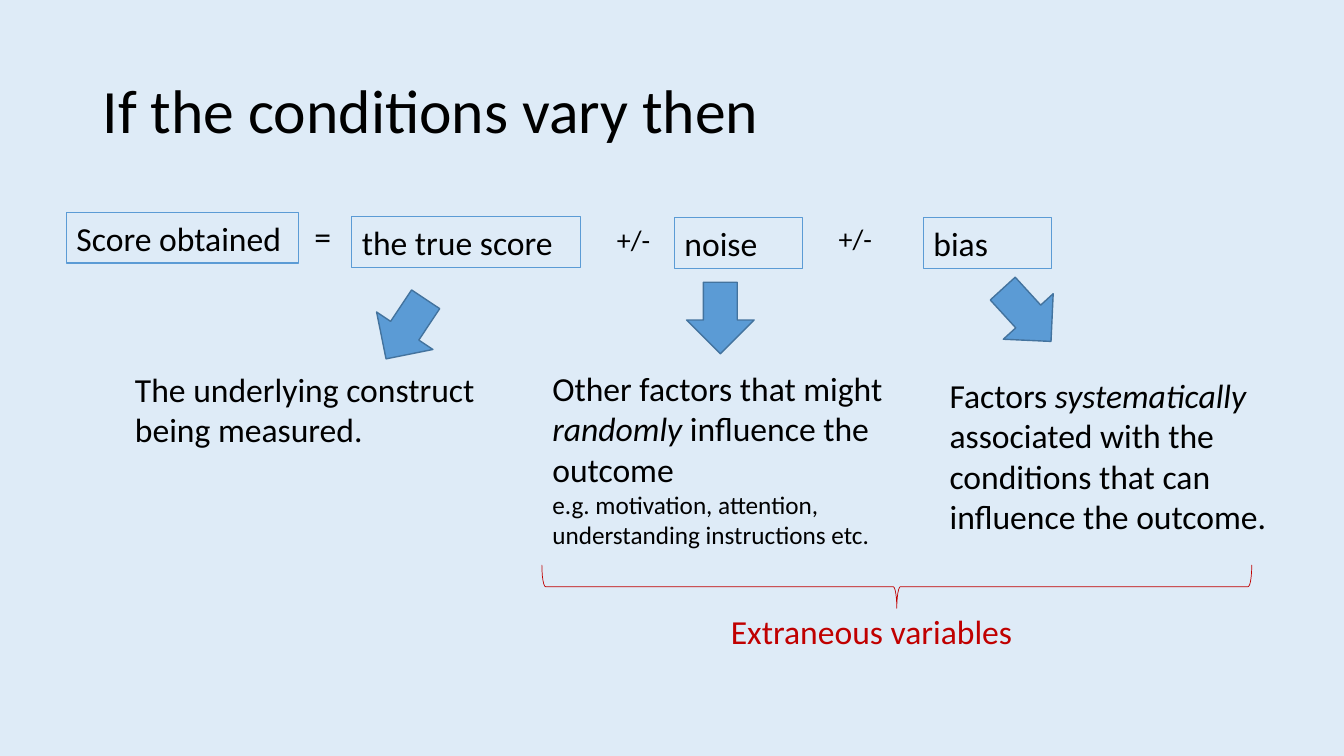
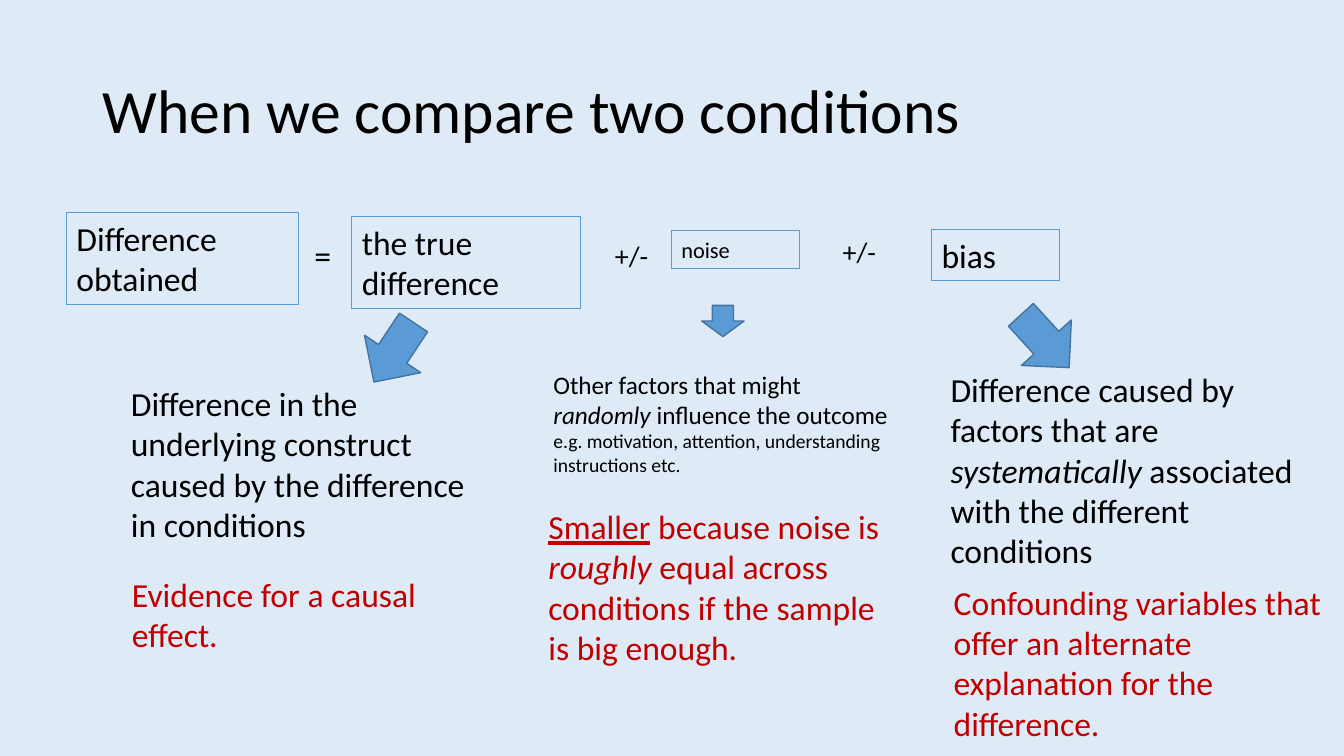
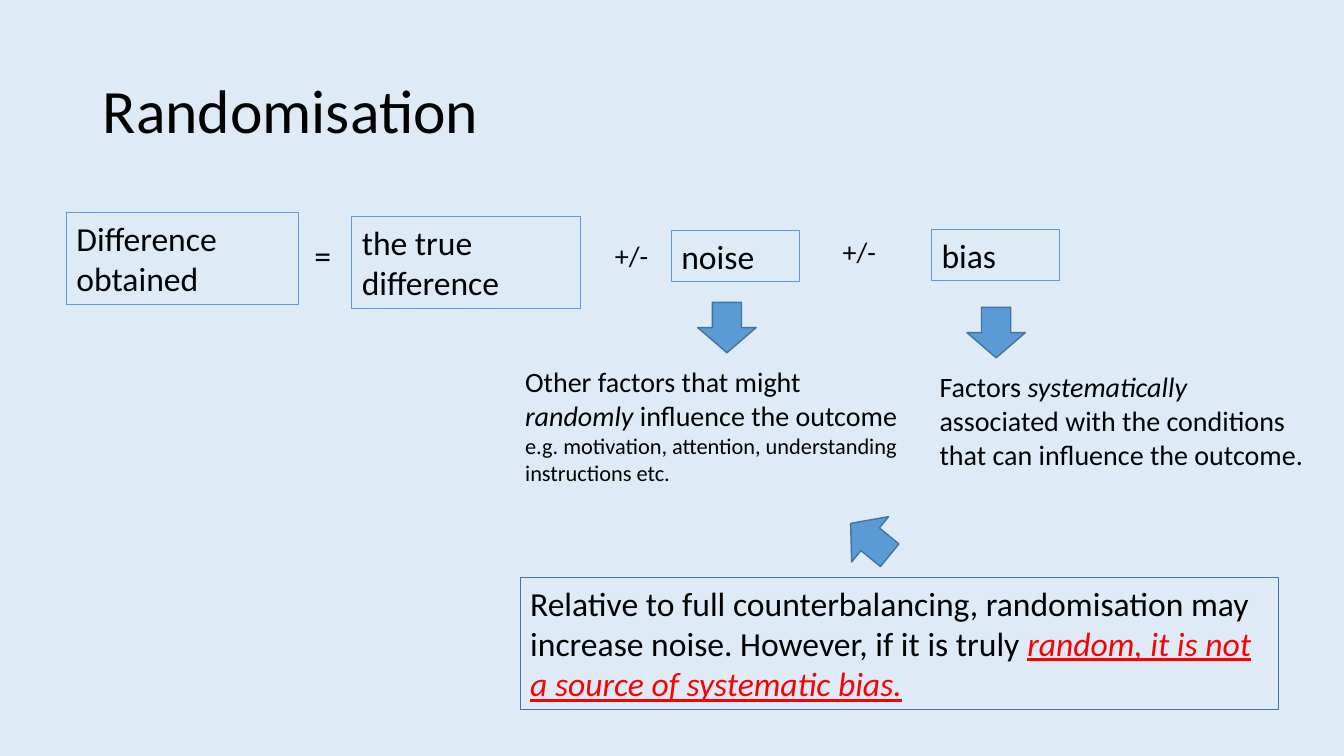
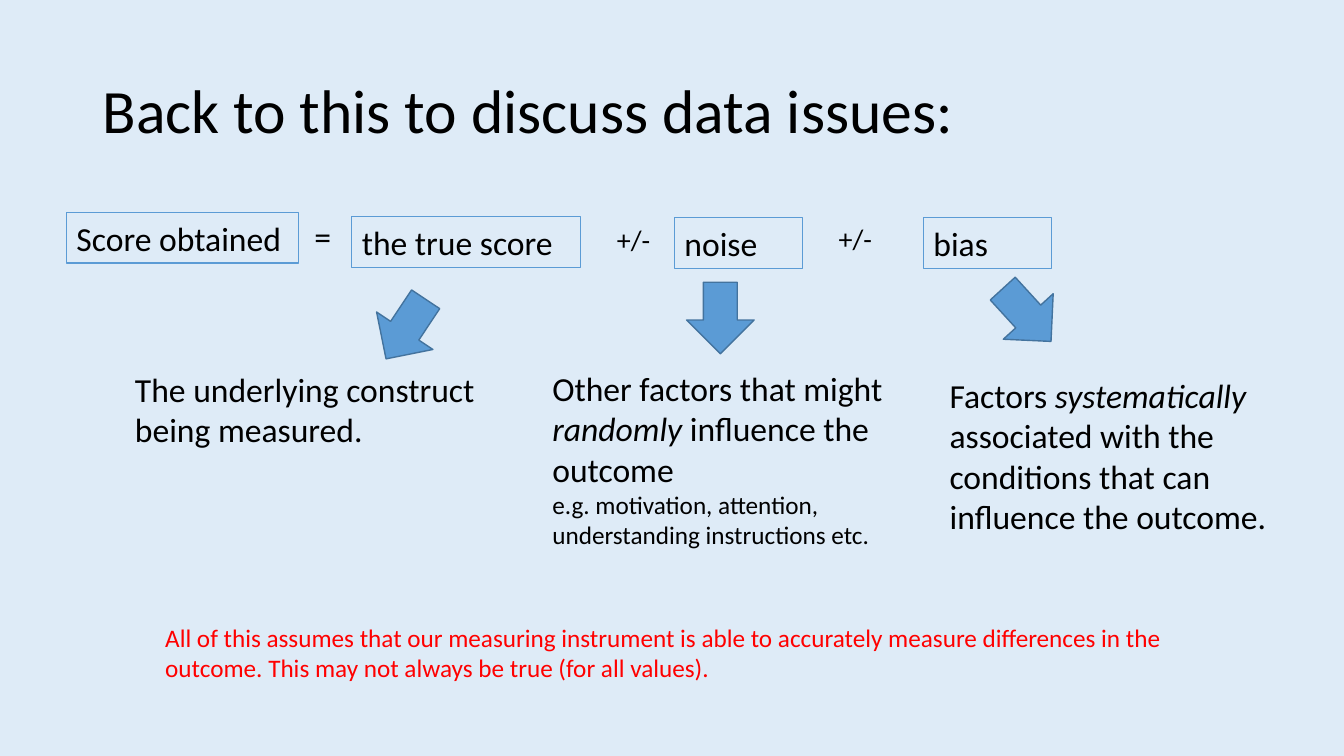
from dataclasses import dataclass

from pptx import Presentation
from pptx.dml.color import RGBColor
from pptx.enum import shapes, text
from pptx.util import Inches, Pt


@dataclass(frozen=True)
class Theme:
    font: str = "Calibri"
    back: str = "DEEBF7"
    ink: str = "000000"
    blue: str = "5B9BD5"
    edge: str = "43739E"
    dark: str = "C00000"
    red: str = "FF0000"
    title: int = 44
    body: int = 24
    mid: int = 20
    small: int = 18
    note: int = 16
    tiny: int = 14


T = Theme()
KIND = shapes.MSO_SHAPE


# A paragraph is (size, run, ...); a run is (words, style, colour),
# where style holds i for italic and u for underline.
def para(words, size=T.body, ink=T.ink):
    return size, (words, "", ink)


def mixed(size, *runs, ink=T.ink):
    return (size, *((words, style, ink) for words, style in runs))


def noise(big, small):
    return [
        mixed(big, ("Other factors that might ", ""), ("randomly", "i"),
              (" influence the outcome", "")),
        para("e.g. motivation, attention, understanding instructions etc.", small),
    ]


def bias(size):
    return [mixed(size, ("Factors ", ""), ("systematically", "i"),
                  (" associated with the conditions that can influence the outcome.", ""))]


def sum_row(first, second, high, tops, lefts, size=T.body, low=0.5):
    """Boxes and signs of the equation; tops and lefts vary with its wording."""
    equal, plus, hush, last, tilt = tops
    sign, calm, next_sign, lean = lefts
    return {
        "boxes": [
            (0.66, 2.11, 2.3, high, [para(first)], T.blue),
            (3.49, 2.15, 2.27, high, [para(second)], T.blue),
            (calm, hush, 1.27, low, [para("noise", size)], T.blue),
            (lean, tilt, 1.27, 0.5, [para("bias")], T.blue),
        ],
        "texts": [
            (3.02, equal, 0.47, 0.5, [para("=")]),
            (sign, plus, 0.67, 0.44, [para("+/-", T.mid)]),
            (next_sign, last, 0.67, 0.44, [para("+/-", T.mid)]),
        ],
    }


def diff_row(**noise_box):
    return sum_row("Difference obtained", "the true difference", 0.91,
                   (2.28, 2.32, 2.29, 2.28, 2.28), (6, 6.66, 8.26, 9.24), **noise_box)


SCORE = {
    "row": sum_row("Score obtained", "the true score", 0.5,
                   (2.09, 2.16, 2.16, 2.15, 2.16), (6.02, 6.69, 8.22, 9.16)),
    "arrows": [
        (3.69, 2.91, 0.67, 0.71, 33.6),
        (6.81, 2.8, 0.67, 0.71, 0),
        (9.85, 2.77, 0.67, 0.71, 317.6),
    ],
    "texts": [
        (1.24, 3.61, 3.64, 0.91, [para("The underlying construct being measured.")]),
        (5.38, 3.6, 4.29, 1.92, noise(T.body, T.small)),
        (9.32, 3.67, 3.83, 1.72, bias(T.body)),
    ],
}

SLIDES = [
    {
        "title": "If the conditions vary then",
        **SCORE,
        "texts": SCORE["texts"] + [
            (7.15, 6.01, 3.69, 0.5, [para("Extraneous variables", ink=T.dark)]),
        ],
        "brace": (8.68, 2.3, 0.43, 7.04, 270),
    },
    {
        "title": "When we compare two conditions",
        "row": diff_row(size=T.note, low=0.37),
        "arrows": [
            (3.57, 3.14, 0.67, 0.71, 33.6),
            (6.96, 3.03, 0.42, 0.31, 0),
            (10.03, 3.03, 0.67, 0.71, 317.6),
        ],
        "texts": [
            (1.2, 3.75, 3.64, 1.72, [para(
                "Difference in the underlying construct caused by the difference in conditions")]),
            (5.39, 3.61, 3.65, 1.18, noise(T.small, T.tiny)),
            (9.33, 3.61, 3.83, 2.12, [mixed(
                T.body, ("Difference caused by factors that are ", ""),
                ("systematically", "i"),
                (" associated with the different conditions", ""))]),
            (1.21, 5.64, 3.69, 0.91, [para("Evidence for a causal effect.", ink=T.dark)]),
            (5.34, 4.97, 3.69, 1.72, [mixed(
                T.body, ("Smaller", "u"), (" because noise is ", ""), ("roughly ", "i"),
                ("equal across conditions if the sample is big enough.", ""), ink=T.dark)]),
            (9.36, 5.72, 4.18, 1.72, [para(
                "Confounding variables that offer an alternate explanation for the difference.",
                ink=T.dark)]),
        ],
    },
    {
        "title": "Randomisation",
        "row": diff_row(),
        "arrows": [
            (6.92, 3, 0.58, 0.5, 0),
            (9.59, 3.05, 0.58, 0.5, 0),
            (8.34, 5.1, 0.58, 0.5, 129.2),
        ],
        "texts": [
            (5.11, 3.57, 4.01, 1.31, noise(T.mid, T.note)),
            (9.22, 3.62, 3.83, 1.11, bias(T.mid)),
        ],
        "boxes": [
            (5.16, 5.73, 7.52, 1.31, [(
                T.body,
                ("Relative to full counterbalancing, randomisation may increase noise. "
                 "However, if it is truly ", "", T.ink),
                ("random, it is not a source of systematic bias.", "iu", T.red))], T.edge),
        ],
    },
    {
        "title": "Back to this to discuss data issues:",
        **SCORE,
        "texts": SCORE["texts"] + [
            (1.54, 6.12, 10.28, 0.71, [para(
                "All of this assumes that our measuring instrument is able to accurately "
                "measure differences in the outcome. This may not always be true "
                "(for all values).", T.small, T.red)]),
        ],
    },
]


def rgb(code):
    return RGBColor.from_string(code)


def write(shape, paras):
    frame = shape.text_frame
    frame.word_wrap = True
    frame.auto_size = text.MSO_AUTO_SIZE.SHAPE_TO_FIT_TEXT
    frame.vertical_anchor = text.MSO_ANCHOR.TOP
    for n, (size, *runs) in enumerate(paras):
        p = frame.add_paragraph() if n else frame.paragraphs[0]
        p.alignment = text.PP_ALIGN.LEFT
        for words, style, ink in runs:
            run = p.add_run()
            run.text = words
            font = run.font
            font.name, font.size = T.font, Pt(size)
            font.color.rgb = rgb(ink)
            font.italic = "i" in style
            font.underline = "u" in style
    return frame


def add_text(slide, *item):
    *place, paras = item
    return write(slide.shapes.add_textbox(*map(Inches, place)), paras)


def add_form(slide, kind, place, line, width, fill=None, turn=0):
    form = slide.shapes.add_shape(kind, *map(Inches, place))
    form.shadow.inherit = False
    form.rotation = turn
    form.line.color.rgb = rgb(line)
    form.line.width = Pt(width)
    if fill:
        form.fill.solid()
        form.fill.fore_color.rgb = rgb(fill)
    else:
        form.fill.background()
    return form


def add_title(slide, words):
    frame = add_text(slide, 0.92, 0.4, 11.5, 1.45, [para(words, T.title)])
    frame.auto_size = text.MSO_AUTO_SIZE.NONE
    frame.vertical_anchor = text.MSO_ANCHOR.MIDDLE
    frame.paragraphs[0].line_spacing = 0.9


def draw(slide, page):
    add_title(slide, page["title"])
    for part in (page["row"], page):
        for *place, paras, line in part.get("boxes", []):
            write(add_form(slide, KIND.RECTANGLE, place, line, 0.75), paras)
        for item in part["texts"]:
            add_text(slide, *item)
    for *place, turn in page["arrows"]:
        add_form(slide, KIND.DOWN_ARROW, place, T.edge, 1, T.blue, turn)
    if "brace" in page:
        *place, turn = page["brace"]
        add_form(slide, KIND.LEFT_BRACE, place, T.dark, 0.5, turn=turn)


def main():
    prs = Presentation()
    prs.slide_width, prs.slide_height = Inches(13.33), Inches(7.5)
    fill = prs.slide_master.background.fill
    fill.solid()
    fill.fore_color.rgb = rgb(T.back)
    for page in SLIDES:
        draw(prs.slides.add_slide(prs.slide_layouts[6]), page)
    prs.save("out.pptx")


if __name__ == "__main__":
    main()
